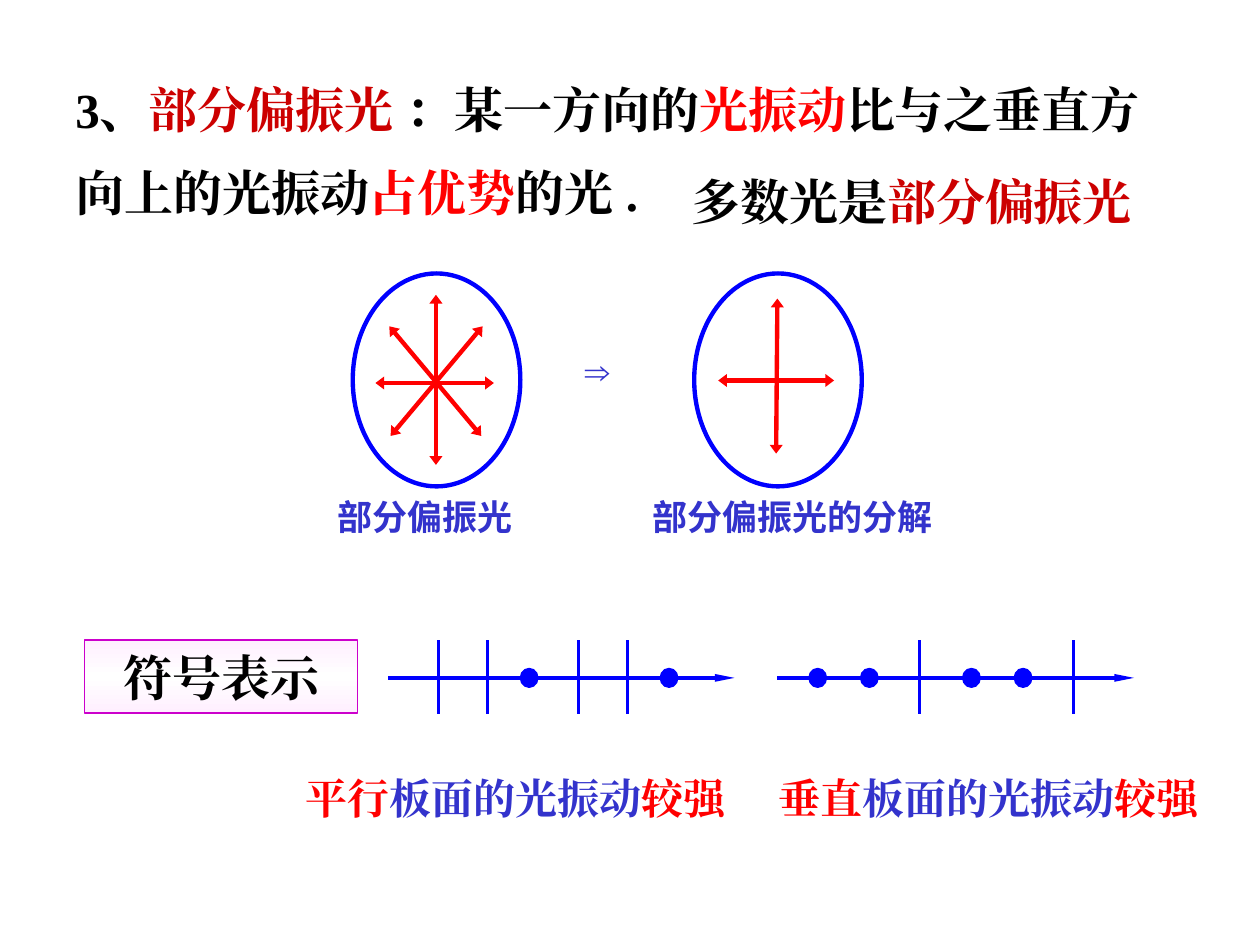
from copy import deepcopy

from lxml import etree
from pptx import Presentation
from pptx.dml.color import RGBColor
from pptx.enum.shapes import MSO_CONNECTOR, MSO_SHAPE
from pptx.enum.text import MSO_ANCHOR, PP_ALIGN
from pptx.oxml.ns import qn
from pptx.util import Inches, Pt

STRAIGHT = MSO_CONNECTOR.STRAIGHT
OVAL, RECTANGLE = MSO_SHAPE.OVAL, MSO_SHAPE.RECTANGLE
MIDDLE = MSO_ANCHOR.MIDDLE
LEFT, CENTER, JUSTIFY = PP_ALIGN.LEFT, PP_ALIGN.CENTER, PP_ALIGN.JUSTIFY

SERIF, SANS = "Times New Roman", "Noto Sans CJK SC"
BLACK, RED, DARK_RED = "000000", "FF0000", "CC0000"
BLUE, INDIGO, MAGENTA = "0000FF", "3333CC", "CC00CC"
AXIS_Y, TICK_TOP, TICK_BOTTOM = 5.38, 5.08, 5.67
DOT_WIDTH, DOT_HEIGHT = 0.14, 0.15


def rgb(value):
    """Turn a hex string into a colour."""
    return RGBColor.from_string(value)


def write(frame, paragraphs, size, font=SERIF, align=LEFT, gap=0):
    """Fill a text frame with paragraphs of (text, colour) runs."""
    frame.word_wrap = True
    for index, runs in enumerate(paragraphs):
        paragraph = frame.add_paragraph() if index else frame.paragraphs[0]
        paragraph.alignment = align
        if index:
            paragraph.space_before = Pt(gap)
        for words, colour in runs:
            run = paragraph.add_run()
            run.text = words
            run.font.size = Pt(size)
            run.font.bold = True
            run.font.name = font
            run.font.color.rgb = rgb(colour)
            east_asian = etree.SubElement(run.font._element, qn("a:ea"))
            east_asian.set("typeface", font)


def add_text(slide, box, paragraphs, size, inset=None, wrap=True, **style):
    """Place a text box at left, top, width, height."""
    frame = slide.shapes.add_textbox(*map(Inches, box)).text_frame
    write(frame, paragraphs, size, **style)
    frame.word_wrap = wrap
    if inset is not None:
        frame.margin_left = frame.margin_right = Inches(inset)
        frame.margin_top = frame.margin_bottom = Inches(inset)


def add_line(slide, start, end, colour, weight, heads=(), head_size=("med", "med")):
    """Draw a straight line with optional arrowheads."""
    line = slide.shapes.add_connector(STRAIGHT, *map(Inches, (*start, *end)))
    line.line.color.rgb = rgb(colour)
    line.line.width = Pt(weight)
    properties = line._element.spPr
    for head in heads:
        arrow = etree.SubElement(properties.find(qn("a:ln")), qn(head))
        arrow.set("type", "triangle")
        arrow.set("w", head_size[0])
        arrow.set("len", head_size[1])
    etree.SubElement(properties, qn("a:effectLst"))


def add_shape(slide, kind, box, line, weight, fill=None):
    """Draw an outlined shape, filled when a colour is given."""
    shape = slide.shapes.add_shape(kind, *map(Inches, box))
    shape.shadow.inherit = False
    shape.line.color.rgb = rgb(line)
    shape.line.width = Pt(weight)
    if fill:
        shape.fill.solid()
        shape.fill.fore_color.rgb = rgb(fill)
    else:
        shape.fill.background()
    return shape


def add_vibrations(slide, left, rays):
    """Draw double-headed vibration directions inside a ring."""
    for start, end in rays:
        add_line(slide, start, end, RED, 2.5, ("a:headEnd", "a:tailEnd"), ("med", "sm"))
    add_shape(slide, OVAL, (left, 2.17, 1.33, 1.69), BLUE, 2.5)


def add_ray_symbol(slide, start, end, first, period, ticks, dots):
    """Draw a ray with two repeats of its pattern of ticks and dots."""
    add_line(slide, (start, AXIS_Y), (end, AXIS_Y), BLUE, 2.25, ("a:tailEnd",), ("sm", "lg"))
    for origin in (first, first + period):
        for offset in ticks:
            x = origin + offset
            add_line(slide, (x, TICK_TOP), (x, TICK_BOTTOM), BLUE, 1.5)
        for offset in dots:
            box = (origin + offset - DOT_WIDTH / 2, AXIS_Y - DOT_HEIGHT / 2, DOT_WIDTH, DOT_HEIGHT)
            add_shape(slide, OVAL, box, BLUE, 0.75, BLUE)


def add_symbol_heading(slide):
    """Draw the heading of the symbols on a soft gradient."""
    heading = add_shape(slide, RECTANGLE, (0.67, 5.08, 2.17, 0.58), MAGENTA, 0.75)
    heading.fill.gradient()
    heading.fill.gradient_angle = 90
    stops = heading._element.spPr.find(qn("a:gradFill")).find(qn("a:gsLst"))
    stops.insert(1, deepcopy(stops[0]))
    tints = ((0, "FFEFFF"), (0.5, "FFFFFF"), (1, "FFEFFF"))
    for stop, (position, tint) in zip(heading.fill.gradient_stops, tints):
        stop.position = position
        stop.color.rgb = rgb(tint)
    heading.text_frame.vertical_anchor = MIDDLE
    write(heading.text_frame, [[("符号表示", BLACK)]], 28, align=CENTER)


def main():
    """Build the slide on partially polarized light."""
    deck = Presentation()
    deck.slide_width, deck.slide_height = Inches(10), Inches(7.5)
    slide = deck.slides.add_slide(deck.slide_layouts[6])

    definition = [
        [("3、", BLACK), ("部分偏振光", DARK_RED), (" ：某一方向的", BLACK),
         ("光振动", RED), ("比与之垂直方", BLACK)],
        [("向上的光振动", BLACK), ("占优势", RED), ("的光 .", BLACK)],
    ]
    add_text(slide, (0.5, 0.58, 9.08, 1.27), definition, 28, gap=14)
    remark = [("多数光是", BLACK), ("部分偏振光", DARK_RED)]
    add_text(slide, (5.39, 1.31, 4.33, 0.57), [remark], 28)

    add_vibrations(slide, 2.8, [
        ((2.98, 3.04), (3.92, 3.04)), ((3.46, 2.34), (3.46, 3.69)),
        ((3.1, 3.46), (3.83, 2.59)), ((3.82, 3.46), (3.09, 2.59)),
    ])
    add_vibrations(slide, 5.51, [((5.7, 3.02), (6.62, 3.02)), ((6.17, 2.37), (6.16, 3.6))])
    add_text(slide, (4.63, 2.76, 0.46, 0.51), [[("⇒", INDIGO)]], 20, inset=0.01, align=JUSTIFY)
    for left, width, caption in ((2.58, 1.79, "部分偏振光"), (5.08, 2.53, "部分偏振光的分解")):
        add_text(slide, (left, 3.88, width, 0.44), [[(caption, INDIGO)]], 20,
                 font=SANS, align=JUSTIFY)

    add_symbol_heading(slide)
    add_ray_symbol(slide, 3.08, 5.83, 3.48, 1.11, ticks=(0, 0.39), dots=(0.72,))
    add_ray_symbol(slide, 6.17, 9, 6.49, 1.22, ticks=(0.81,), dots=(0, 0.41))
    for left, direction in ((2.33, "平行"), (6.08, "垂直")):
        meaning = [(direction, RED), ("板面的光振动", INDIGO), ("较强", RED)]
        add_text(slide, (left, 6.08, 3.55, 0.5), [meaning], 24, wrap=False)

    deck.save("out.pptx")


if __name__ == "__main__":
    main()
